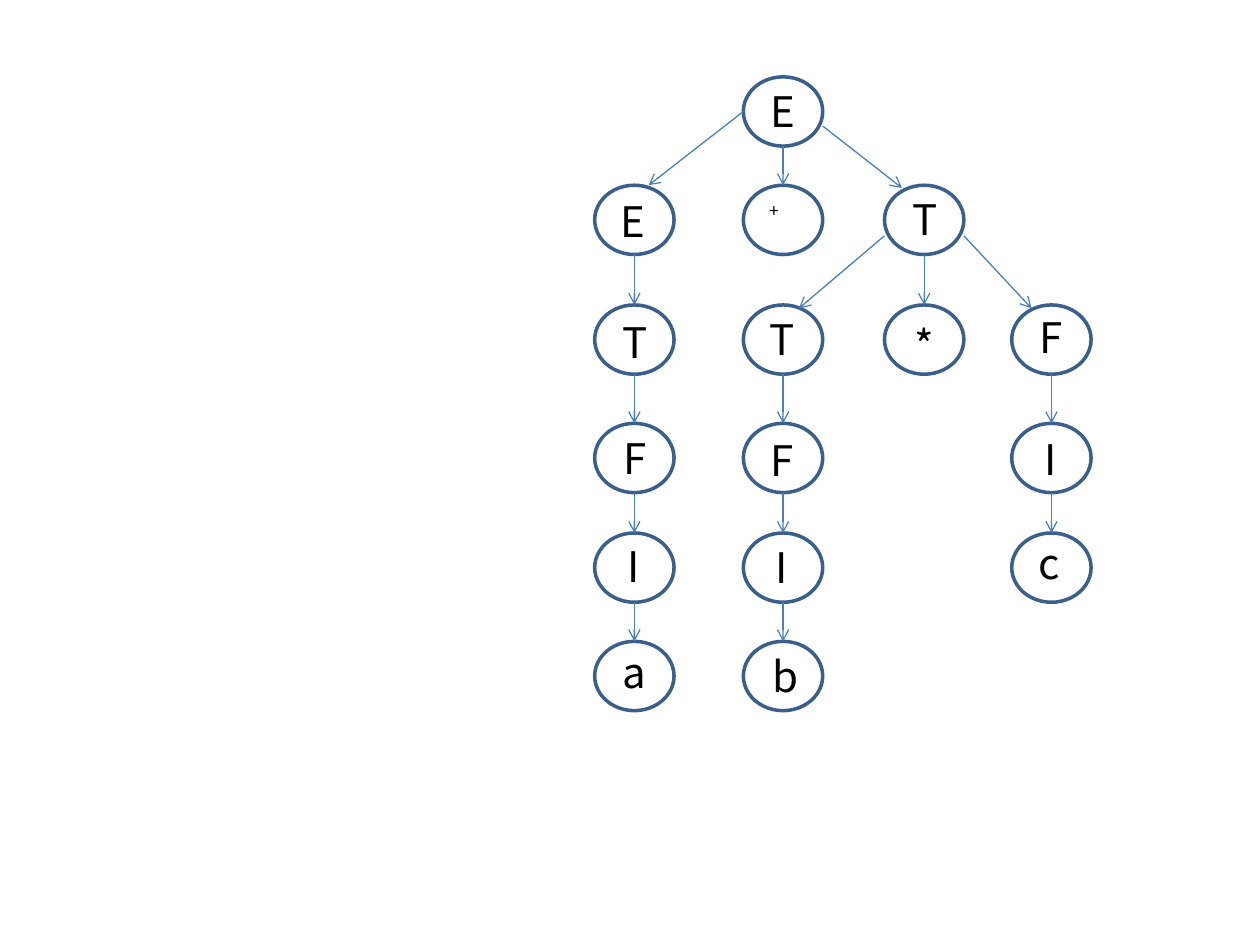
from lxml.etree import SubElement
from pptx import Presentation
from pptx.dml.color import RGBColor
from pptx.enum.shapes import MSO_CONNECTOR as Connector, MSO_SHAPE as Shape
from pptx.enum.text import MSO_AUTO_SIZE as AutoSize
from pptx.oxml.ns import qn
from pptx.util import Inches, Pt

FONT = "Noto Sans CJK KR"
WHITE, BLACK, OUTLINE, ARROW = "FFFFFF", "000000", "3A5F8C", "4B7EBC"
COLUMNS = (4.72, 5.9, 7.02, 8.03)
ROWS = (0.61, 1.47, 2.42, 3.36, 4.23, 5.09)
NODE_WIDTH, NODE_HEIGHT = 0.63, 0.55

# (column, row): (label, label offset across, label offset down, label width)
NODES = {
    (1, 0): ("E", 0.12, 0.02, 0.64),
    (0, 1): ("E", 0.11, 0.03, 0.64),
    (1, 1): ("+", 0.11, 0.07, 0.64),
    (2, 1): ("T", 0.12, 0.02, 0.58),
    (0, 2): ("T", 0.12, 0.04, 0.4),
    (1, 2): ("T", 0.11, 0.02, 0.4),
    (2, 2): ("*", 0.14, 0.07, 0.64),
    (3, 2): ("F", 0.12, 0, 0.64),
    (0, 3): ("F", 0.13, 0.02, 0.53),
    (1, 3): ("F", 0.12, 0.04, 0.53),
    (3, 3): ("I", 0.16, 0.03, 0.53),
    (0, 4): ("I", 0.16, 0.01, 0.53),
    (1, 4): ("I", 0.16, 0.02, 0.53),
    (3, 4): ("c", 0.11, -0.01, 0.53),
    (0, 5): ("a", 0.12, -0.01, 0.53),
    (1, 5): ("b", 0.13, 0.02, 0.53),
}
BRANCHES = [
    ((1, 0), (0, 0.5), (0, 1), (0.68, 0)),
    ((1, 0), (1, 0.71), (2, 1), (0.22, 0.04)),
    ((2, 1), (0, 0.73), (1, 2), (0.7, 0.05)),
    ((2, 1), (1, 0.73), (3, 2), (0.25, 0.05)),
]
SMALL_LABELS = {"+": (10, 0.4)}
SEPARATE = {((1, 1), (1, 2))}


def color(value):
    return RGBColor.from_string(value)


def point(node, share):
    column, row = node
    return (Inches(COLUMNS[column] + share[0] * NODE_WIDTH),
            Inches(ROWS[row] + share[1] * NODE_HEIGHT))


def add_node(slide, node):
    ellipse = slide.shapes.add_shape(
        Shape.OVAL, *point(node, (0, 0)), Inches(NODE_WIDTH), Inches(NODE_HEIGHT))
    ellipse.shadow.inherit = False
    ellipse.fill.solid()
    ellipse.fill.fore_color.rgb = color(WHITE)
    ellipse.line.color.rgb = color(OUTLINE)
    ellipse.line.width = Pt(2)
    return ellipse


def add_label(slide, node, text, across, down, width):
    size, height = SMALL_LABELS.get(text, (24, 0.5))
    left, top = point(node, (0, 0))
    box = slide.shapes.add_textbox(
        left + Inches(across), top + Inches(down), Inches(width), Inches(height))
    frame = box.text_frame
    frame.word_wrap = True
    frame.auto_size = AutoSize.SHAPE_TO_FIT_TEXT
    frame.text = text
    font = frame.paragraphs[0].runs[0].font
    font.size, font.name = Pt(size), FONT
    font.color.rgb = color(BLACK)
    properties = font._element
    for tag in ("a:ea", "a:cs"):
        SubElement(properties, qn(tag), typeface=FONT)


def add_arrow(slide, start, end):
    arrow = slide.shapes.add_connector(Connector.STRAIGHT, *start, *end)
    arrow.line.color.rgb = color(ARROW)
    arrow.line.width = Pt(0.75)
    SubElement(arrow.line._get_or_add_ln(), qn("a:tailEnd"), type="arrow")
    SubElement(arrow._element.spPr, qn("a:effectLst"))
    return arrow


def main():
    """Draw the parse tree of a + b * c as labelled nodes joined by arrows."""
    presentation = Presentation()
    presentation.slide_width, presentation.slide_height = Inches(10), Inches(7.5)
    slide = presentation.slides.add_slide(presentation.slide_layouts[6])

    ellipses = {node: add_node(slide, node) for node in NODES}
    for node, label in NODES.items():
        add_label(slide, node, *label)
    for parent, start, child, end in BRANCHES:
        add_arrow(slide, point(parent, start), point(child, end))
    for column, row in NODES:
        parent, child = (column, row), (column, row + 1)
        if child in NODES and (parent, child) not in SEPARATE:
            arrow = add_arrow(slide, point(parent, (0.5, 1)), point(child, (0.5, 0)))
            arrow.end_connect(ellipses[child], 0)

    presentation.save("out.pptx")


if __name__ == "__main__":
    main()
